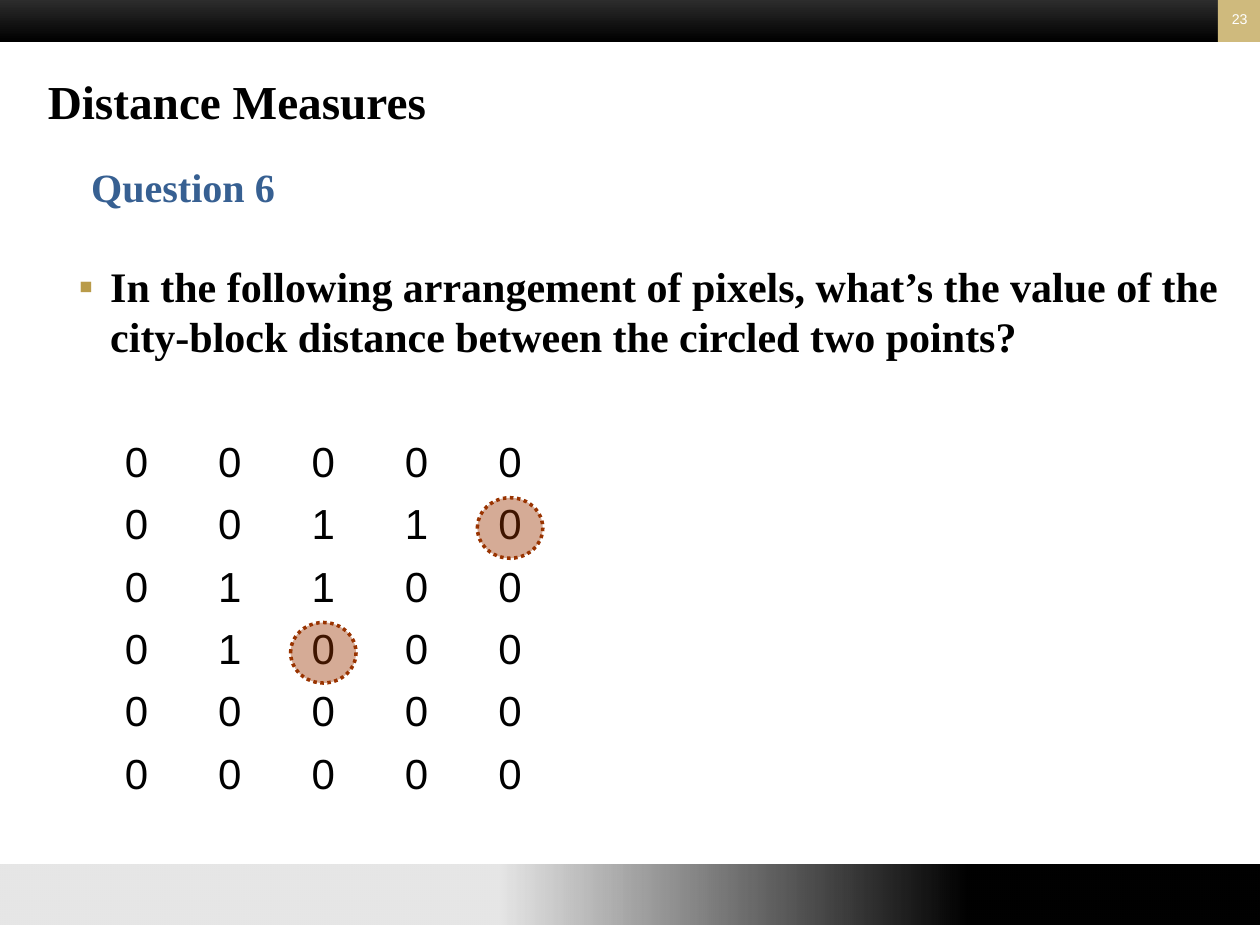
from lxml.etree import SubElement
from pptx import Presentation
from pptx.dml.color import RGBColor
from pptx.enum.dml import MSO_LINE
from pptx.enum.shapes import MSO_SHAPE as Preset
from pptx.enum.text import MSO_ANCHOR as Anchor, PP_ALIGN as Align
from pptx.oxml.ns import qn
from pptx.util import Pt

COLORS = {
    "black": "000000",
    "charcoal": "333333",
    "white": "FFFFFF",
    "sand": "CFBA7D",
    "gold": "B99B49",
    "blue": "376092",
    "rust": "993300",
}
SERIF, SANS = "Times New Roman", "Arial"
PIXELS = ["00000", "00110", "01100", "01000", "00000", "00000"]
CIRCLED = [(3, 2), (1, 4)]
BODY_LEFT, FIRST_TAB, COLUMN_STEP = 45, 33, 53.37
FIRST_CIRCLE_TOP, ROW_STEP = 248.75, 35.65
CIRCLE_WIDTH, CIRCLE_HEIGHT = 37.4, 34.6


def write(para, text, font=SERIF, size=24, color="black", bold=False):
    span = para.add_run()
    span.text = text
    span.font.name = font
    span.font.size = Pt(size)
    span.font.bold = bold
    span.font.color.rgb = RGBColor.from_string(COLORS[color])


def add_alpha(node, alpha):
    if alpha < 100:
        SubElement(node, qn("a:alpha"), val=str(alpha * 1000))


def add_color(parent, color, alpha=100):
    add_alpha(SubElement(parent, qn("a:srgbClr"), val=COLORS[color]), alpha)


class SlideBuilder:
    def __init__(self, page):
        self.page = page

    def shape(self, kind, left, top, width, height, fill=None, alpha=100):
        shape = self.page.shapes.add_shape(kind, Pt(left), Pt(top), Pt(width), Pt(height))
        shape.shadow.inherit = False
        shape.line.fill.background()
        if fill:
            shape.fill.solid()
            shape.fill.fore_color.rgb = RGBColor.from_string(COLORS[fill])
            add_alpha(shape.element.spPr.find(qn("a:solidFill")).find(qn("a:srgbClr")), alpha)
        return shape

    def outline(self, shape, color, width, dash=None):
        shape.line.color.rgb = RGBColor.from_string(COLORS[color])
        shape.line.width = Pt(width)
        if dash:
            shape.line.dash_style = dash

    def gradient(self, shape, stops, angle):
        shape.fill.background()
        properties = shape.element.spPr
        empty = properties.find(qn("a:noFill"))
        fill = SubElement(properties, qn("a:gradFill"), rotWithShape="1")
        properties.replace(empty, fill)
        stop_list = SubElement(fill, qn("a:gsLst"))
        for position, color, alpha in stops:
            stop = SubElement(stop_list, qn("a:gs"), pos=str(position * 1000))
            add_color(stop, color, alpha)
        SubElement(fill, qn("a:lin"), ang=str(angle * 60000), scaled="0")

    def box(self, left, top, width, height, anchor=Anchor.MIDDLE, inset=7.2):
        frame = self.page.shapes.add_textbox(Pt(left), Pt(top), Pt(width), Pt(height)).text_frame
        frame.word_wrap = True
        frame.vertical_anchor = anchor
        frame.margin_left = Pt(inset)
        return frame

    def bullet(self, para, indent, symbol, color):
        properties = para._p.get_or_add_pPr()
        properties.set("marL", str(Pt(indent)))
        properties.set("indent", str(Pt(-indent)))
        add_color(SubElement(properties, qn("a:buClr")), color)
        SubElement(properties, qn("a:buFont"), typeface=SANS)
        SubElement(properties, qn("a:buChar"), char=symbol)

    def pixel_row(self, frame, values, space_before):
        para = frame.add_paragraph()
        para.space_before = Pt(space_before)
        tabs = SubElement(para._p.get_or_add_pPr(), qn("a:tabLst"))
        for column in range(len(values)):
            position = Pt(FIRST_TAB + column * COLUMN_STEP)
            SubElement(tabs, qn("a:tab"), pos=str(position), algn="ctr")
        write(para, "".join("\t" + value for value in values), font=SANS)

    def circle(self, row, column):
        center = BODY_LEFT + FIRST_TAB + column * COLUMN_STEP
        top = FIRST_CIRCLE_TOP + row * ROW_STEP
        ring = self.shape(Preset.OVAL, center - CIRCLE_WIDTH / 2, top,
                          CIRCLE_WIDTH, CIRCLE_HEIGHT, "rust", 41)
        self.outline(ring, "rust", 2, MSO_LINE.ROUND_DOT)


def main():
    deck = Presentation()
    deck.slide_width, deck.slide_height = Pt(720), Pt(540)
    builder = SlideBuilder(deck.slides.add_slide(deck.slide_layouts[6]))

    footer = builder.shape(Preset.ROUNDED_RECTANGLE, -12, 493.5, 744, 35.5)
    footer.adjustments[0] = 0
    builder.gradient(footer, [(40, "black", 10), (76, "black", 100)], 0)
    builder.outline(footer, "white", 0.75)
    header = builder.shape(Preset.RECTANGLE, 0, -3.6, 696, 27.6)
    builder.gradient(header, [(0, "charcoal", 100), (100, "black", 100)], 90)
    builder.shape(Preset.RECTANGLE, 696, -3.6, 24, 27.6, "sand")

    body = builder.box(BODY_LEFT, 145.4, 672.5, 354, Anchor.TOP, 0)
    question = body.paragraphs[0]
    builder.bullet(question, 18, "▪", "gold")
    write(question, "In the following arrangement of pixels, what’s the value of the "
          "city-block distance between the circled two points?", bold=True)
    for index, values in enumerate(PIXELS):
        builder.pixel_row(body, values, 6.8 if index else 42.4)

    number = builder.box(696, -3.6, 24, 28.8, inset=0).paragraphs[0]
    number.alignment = Align.RIGHT
    write(number, "23", font=SANS, size=8.1, color="white")

    for row, column in CIRCLED:
        builder.circle(row, column)

    title = builder.box(20.2, 30.5, 630, 54).paragraphs[0]
    write(title, "Distance Measures", size=27, bold=True)
    subtitle = builder.box(BODY_LEFT, 79.7, 630, 54).paragraphs[0]
    write(subtitle, "Question 6", size=22.9, color="blue", bold=True)

    deck.save("out.pptx")


if __name__ == "__main__":
    main()
